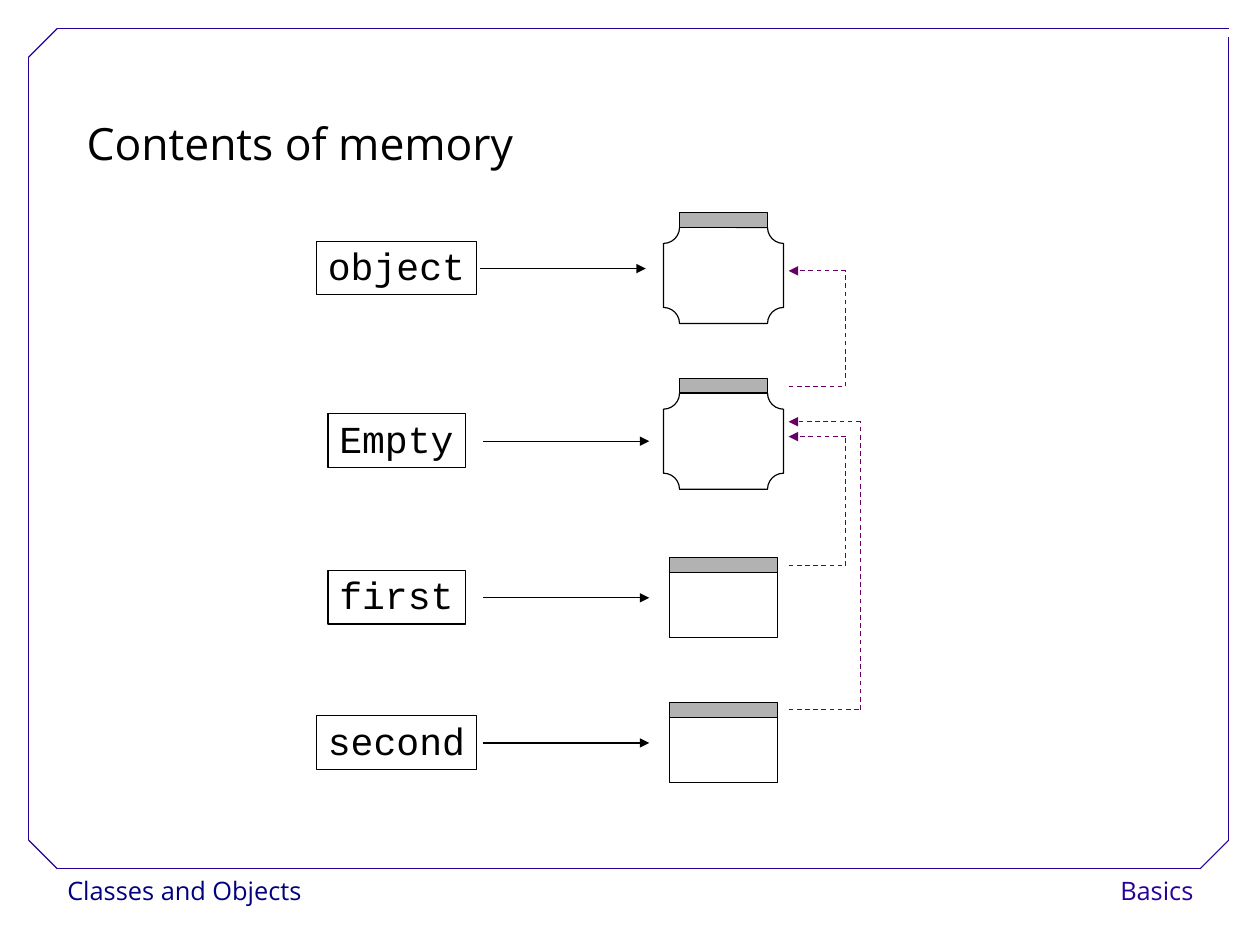
from dataclasses import dataclass
from itertools import pairwise

from lxml import etree
from pptx import Presentation
from pptx.dml.color import RGBColor
from pptx.enum.dml import MSO_LINE
from pptx.enum.shapes import MSO_CONNECTOR, MSO_SHAPE
from pptx.enum.text import MSO_ANCHOR, PP_ALIGN
from pptx.oxml.ns import qn
from pptx.util import Inches, Pt

STRAIGHT = MSO_CONNECTOR.STRAIGHT
RECTANGLE, PLAQUE = MSO_SHAPE.RECTANGLE, MSO_SHAPE.PLAQUE
DASH = MSO_LINE.DASH
TOP = MSO_ANCHOR.TOP
LEFT, RIGHT = PP_ALIGN.LEFT, PP_ALIGN.RIGHT
CM_PER_INCH = 2.54


@dataclass(frozen=True)
class Theme:
    black: str = "000000"
    white: str = "FFFFFF"
    header: str = "B2B2B2"
    frame: str = "280099"
    footer: str = "000080"
    link: str = "660066"
    sans: str = "Open Sans"
    mono: str = "Courier New"
    title_size: int = 28
    label_size: int = 24
    footer_size: int = 16
    line_width: float = 0.75


THEME = Theme()


def add_box(page, left, top, width, height, kind=RECTANGLE, fill=None, line=None):
    box = page.shapes.add_shape(
        kind, Inches(left), Inches(top), Inches(width), Inches(height))
    box.shadow.inherit = False
    if fill:
        box.fill.solid()
        box.fill.fore_color.rgb = RGBColor.from_string(fill)
    else:
        box.fill.background()
    if line:
        box.line.color.rgb = RGBColor.from_string(line)
        box.line.width = Pt(THEME.line_width)
    else:
        box.line.fill.background()
    return box


def write_text(box, text, *, size, font=THEME.sans, color=THEME.black,
               align=LEFT, spacing=1.0, wrap=False):
    frame = box.text_frame
    frame.word_wrap = wrap
    frame.vertical_anchor = TOP
    para = frame.paragraphs[0]
    para.alignment = align
    para.line_spacing = spacing
    span = para.add_run()
    span.text = text
    span.font.size = Pt(size)
    span.font.name = font
    span.font.color.rgb = RGBColor.from_string(color)


def add_line(page, start, end, color=THEME.black, dash=None, arrow=False):
    connector = page.shapes.add_connector(
        STRAIGHT, *(Inches(value) for value in (*start, *end)))
    connector.line.color.rgb = RGBColor.from_string(color)
    connector.line.width = Pt(THEME.line_width)
    if dash:
        connector.line.dash_style = dash
    if arrow:
        outline = connector.line._get_or_add_ln()
        etree.SubElement(outline, qn("a:tailEnd"), type="triangle")
    etree.SubElement(connector._element.spPr, qn("a:effectLst"))


def add_frame(page):
    left, right, top, bottom, corner = 0.25, 10.75, 0.25, 7.6, 0.25
    outline = [(right, top), (left + corner, top), (left, top + corner),
               (left, bottom - corner), (left + corner, bottom),
               (right - corner, bottom), (right, bottom - corner), (right, 0.32)]
    for start, end in pairwise(outline):
        add_line(page, start, end, THEME.frame)


def add_footer(page, text, left, width, color, align):
    box = add_box(page, left, 7.6, width, 0.4, fill=THEME.white)
    write_text(box, text, size=THEME.footer_size, color=color,
               align=align, spacing=1.02)


def add_name(page, text, top, width, arrow_left):
    center = 3.47
    box = add_box(page, center - width / 2, top, width, 0.47, line=THEME.black)
    write_text(box, text, size=THEME.label_size, font=THEME.mono, spacing=0.93)
    middle = top + 0.24
    add_line(page, (arrow_left, middle), (arrow_left + 1.45, middle), arrow=True)


def add_memory_block(page, top, kind, width, height, header_width):
    center, header_height = 6.33, 0.13
    add_box(page, center - width / 2, top + header_height, width, height,
            kind=kind, line=THEME.black)
    add_box(page, center - header_width / 2, top, header_width, header_height,
            fill=THEME.header, line=THEME.black)


def add_link(page, start_y, end_y, turn_x):
    edge = 6.9
    corners = [(edge, start_y), (turn_x, start_y), (turn_x, end_y), (edge, end_y)]
    for start, end in pairwise(corners):
        add_line(page, start, end, THEME.link, DASH, arrow=end == corners[-1])


def main():
    # The page is 28 by 21 centimetres
    deck = Presentation()
    deck.slide_width = Inches(28 / CM_PER_INCH)
    deck.slide_height = Inches(21 / CM_PER_INCH)
    page = deck.slides.add_slide(deck.slide_layouts[6])

    # Footer and page frame
    add_footer(page, "Classes and Objects", 0.49, 2.15, THEME.footer, LEFT)
    add_footer(page, "Basics", 9.14, 1.4, THEME.frame, RIGHT)
    add_frame(page)

    # Title
    title = page.shapes.add_textbox(
        Inches(0.66), Inches(0.73), Inches(9.45), Inches(0.8))
    write_text(title, "Contents of memory", size=THEME.title_size,
               spacing=1.5, wrap=True)

    # Names with arrows to their memory
    for text, top, width, arrow_left in [
            ("object", 2.11, 1.4, 4.2), ("Empty", 3.62, 1.2, 4.23),
            ("first", 4.99, 1.2, 4.23), ("second", 6.26, 1.4, 4.23)]:
        add_name(page, text, top, width, arrow_left)

    # Class objects are plaques, instances are rectangles
    for top in (1.86, 3.31):
        add_memory_block(page, top, PLAQUE, 1.05, 0.84, 0.77)
    for top in (4.88, 6.15):
        add_memory_block(page, top, RECTANGLE, 0.94, 0.57, 0.94)

    # Links from each header to its class
    for start_y, end_y, turn_x in [
            (6.21, 3.69, 7.53), (4.95, 3.82, 7.4), (3.38, 2.37, 7.4)]:
        add_link(page, start_y, end_y, turn_x)

    deck.save("out.pptx")


if __name__ == "__main__":
    main()
